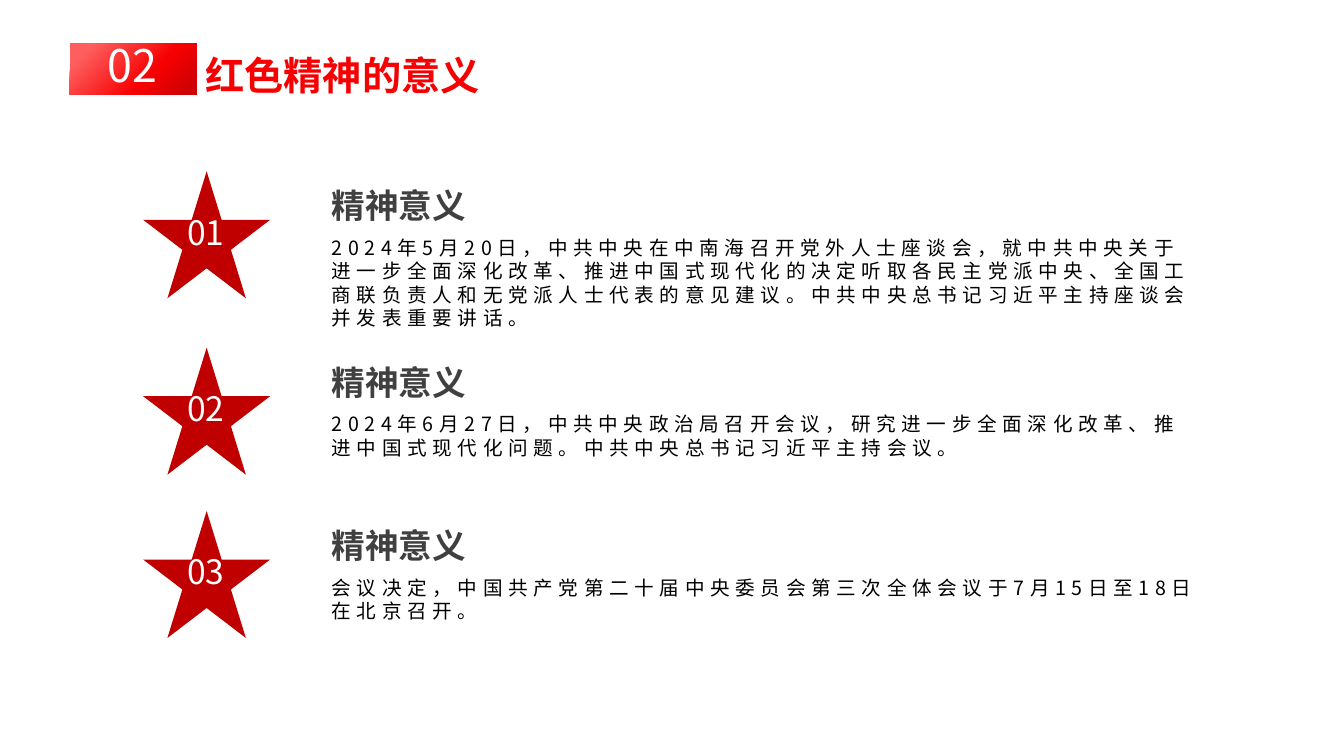
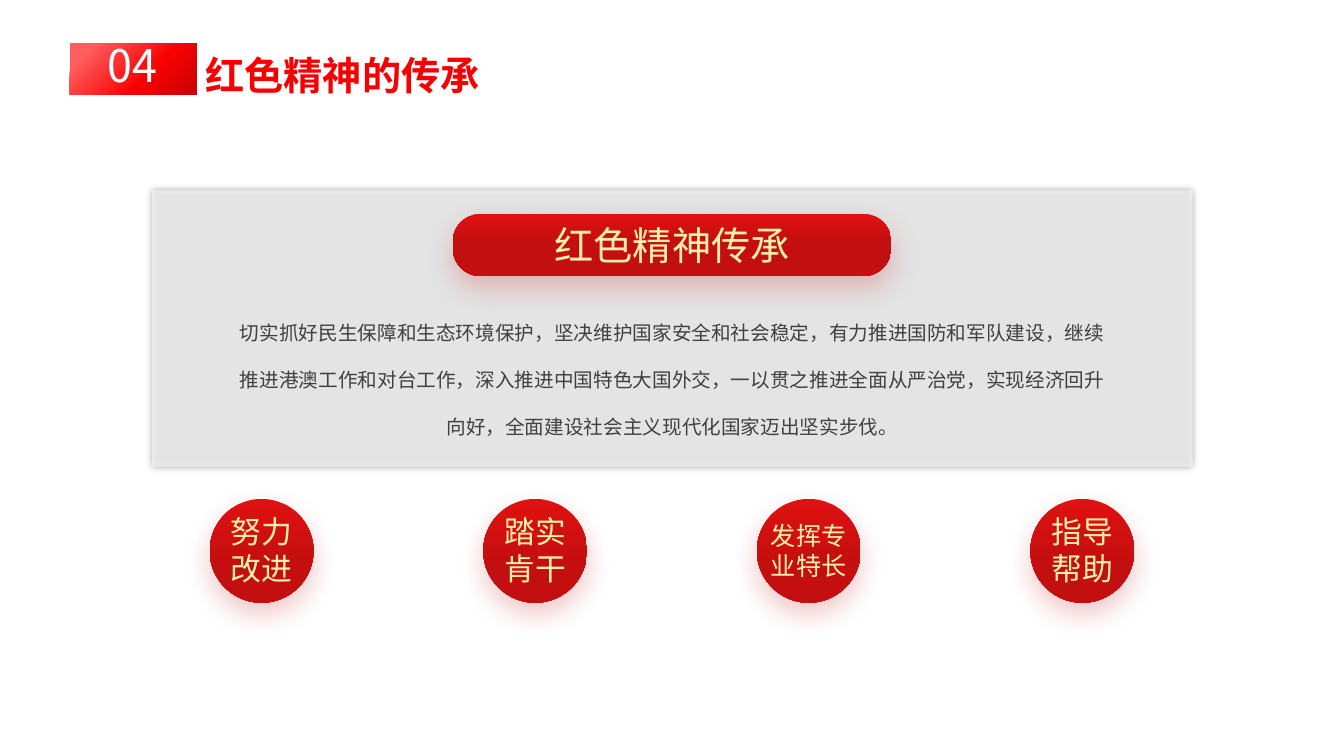
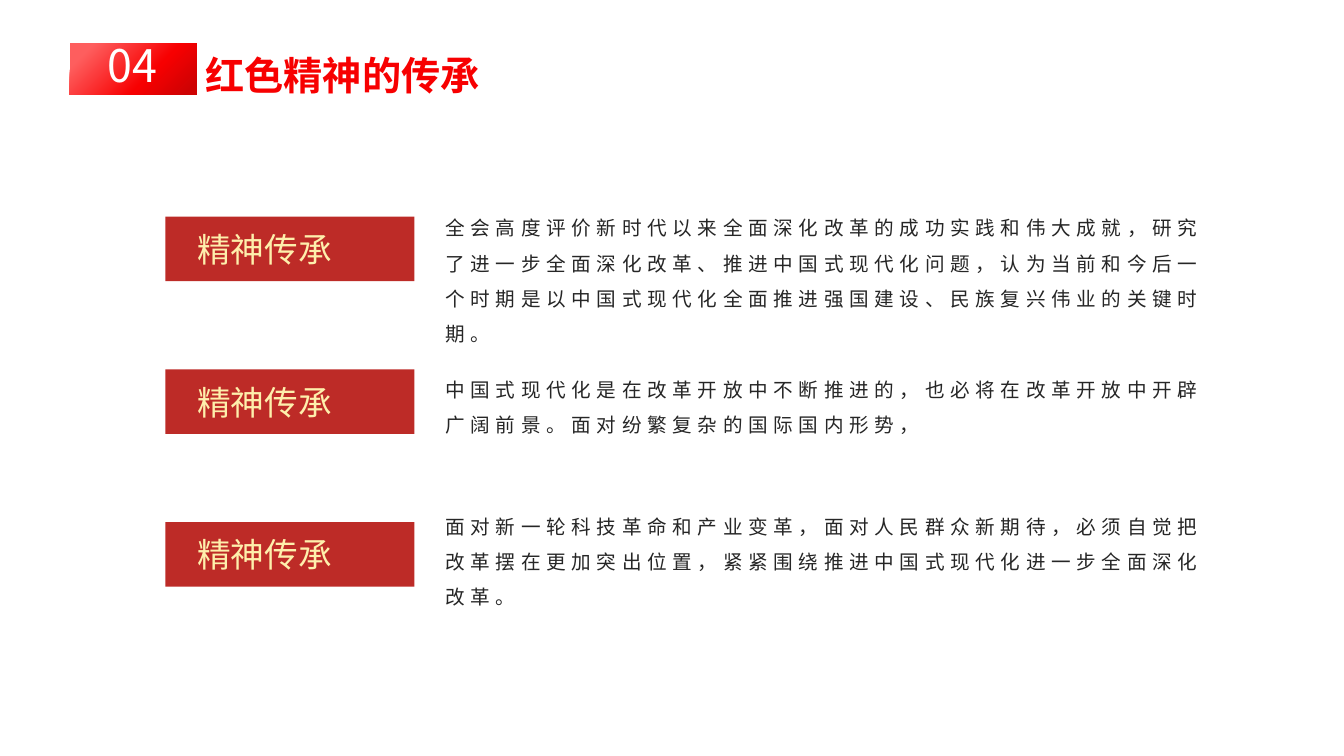
from lxml.etree import SubElement
from pptx import Presentation
from pptx.dml.color import RGBColor
from pptx.enum.shapes import MSO_SHAPE
from pptx.enum.text import MSO_ANCHOR, PP_ALIGN
from pptx.oxml.ns import qn
from pptx.util import Emu, Pt

EMU_PER_PX = 9144
SLIDE_W, SLIDE_H = 1333, 750
FONT = "Noto Sans CJK SC"

WHITE = RGBColor(0xFF, 0xFF, 0xFF)
BLACK = RGBColor(0x00, 0x00, 0x00)
DARK_GREY = RGBColor(0x40, 0x40, 0x40)
INK = RGBColor(0x26, 0x26, 0x26)
PANEL_GREY = RGBColor(0xF2, 0xF2, 0xF2)
TITLE_RED = RGBColor(0xF7, 0x00, 0x01)
STAR_RED = RGBColor(0xC0, 0x00, 0x00)
BAR_RED = RGBColor(0xBD, 0x2B, 0x27)
BRIGHT_RED = RGBColor(0xDF, 0x11, 0x11)
DEEP_RED = RGBColor(0xC3, 0x0F, 0x0F)
GOLD = RGBColor(0xFE, 0xEF, 0xAC)

# Gradients: (angle in degrees, [(position in percent, colour), ...])
BADGE_GRADIENT = (45, [(14, RGBColor(0xFE, 0x5E, 0x5E)), (63, TITLE_RED),
                       (94, RGBColor(0xCE, 0x02, 0x03))])
PILL_GRADIENT = (90, [(0, BRIGHT_RED), (45, DEEP_RED)])
CIRCLE_GRADIENT = (90, [(0, BRIGHT_RED), (64, DEEP_RED)])

# Shadows: (colour, opacity in percent, blur in pt, distance in pt, angle)
RED_GLOW = (DEEP_RED, 23, 20, 8, 90)
PANEL_SHADOW = (BLACK, 40, 5, 0, 0)

MEANING_TITLE = ("02", "红色精神的意义")
HERITAGE_TITLE = ("04", "红色精神的传承")

MEANING_HEADING = "精神意义"
MEANINGS = [  # top of the star, number, text
    (170, "01", "2024年5月20日，中共中央在中南海召开党外人士座谈会，就中共中央关于进一步全面深化改革、推进中国式现代化的决定听取各民主党派中央、全国工商联负责人和无党派人士代表的意见建议。中共中央总书记习近平主持座谈会并发表重要讲话。"),
    (345, "02", "2024年6月27日，中共中央政治局召开会议，研究进一步全面深化改革、推进中国式现代化问题。中共中央总书记习近平主持会议。"),
    (507, "03", "会议决定，中国共产党第二十届中央委员会第三次全体会议于7月15日至18日在北京召开。"),
]

HERITAGE_HEADING = "红色精神传承"
HERITAGE_TEXT = "切实抓好民生保障和生态环境保护，坚决维护国家安全和社会稳定，有力推进国防和军队建设，继续推进港澳工作和对台工作，深入推进中国特色大国外交，一以贯之推进全面从严治党，实现经济回升向好，全面建设社会主义现代化国家迈出坚实步伐。"
ACTIONS = [  # text, size, top
    ("努力\n改进", 22, 504),
    ("踏实\n肯干", 22, 504),
    ("发挥专\n业特长", 18, 511),
    ("指导\n帮助", 22, 504),
]

BAR_LABEL = "精神传承"
INHERITANCE = [  # top of the text, height, text
    (198, 151, "全会高度评价新时代以来全面深化改革的成功实践和伟大成就，研究了进一步全面深化改革、推进中国式现代化问题，认为当前和今后一个时期是以中国式现代化全面推进强国建设、民族复兴伟业的关键时期。"),
    (358, 81, "中国式现代化是在改革开放中不断推进的，也必将在改革开放中开辟广阔前景。面对纷繁复杂的国际国内形势，"),
    (494, 116, "面对新一轮科技革命和产业变革，面对人民群众新期待，必须自觉把改革摆在更加突出位置，紧紧围绕推进中国式现代化进一步全面深化改革。"),
]


def px(*lengths):
    return [Emu(round(length * EMU_PER_PX)) for length in lengths]


def add_color(parent, color, opacity=100):
    node = SubElement(parent, qn("a:srgbClr"), val=str(color))
    if opacity < 100:
        SubElement(node, qn("a:alpha"), val=str(opacity * 1000))


def set_gradient(shape, angle, stops):
    shape.fill.gradient()
    gradient = shape.element.spPr.find(qn("a:gradFill"))
    for child in list(gradient):
        gradient.remove(child)
    stop_list = SubElement(gradient, qn("a:gsLst"))
    for position, color in stops:
        add_color(SubElement(stop_list, qn("a:gs"), pos=str(position * 1000)), color)
    SubElement(gradient, qn("a:lin"), ang=str(angle * 60000), scaled="0")


def set_shadow(shape, color, opacity, blur, distance, angle):
    effects = shape.element.spPr.find(qn("a:effectLst"))
    outer = SubElement(effects, qn("a:outerShdw"), blurRad=str(Pt(blur)),
                       dist=str(Pt(distance)), dir=str(angle * 60000),
                       algn="ctr", rotWithShape="0")
    add_color(outer, color, opacity)


def add_figure(slide, kind, box, color=None, gradient=None, shadow=None):
    shape = slide.shapes.add_shape(kind, *px(*box))
    shape.line.fill.background()
    shape.shadow.inherit = False
    if gradient:
        set_gradient(shape, *gradient)
    else:
        shape.fill.solid()
        shape.fill.fore_color.rgb = color
    if shadow:
        set_shadow(shape, *shadow)
    return shape


def set_text(frame, text, size, color, bold=False, align=PP_ALIGN.LEFT,
             line_spacing=None, tracking=0):
    frame.word_wrap = True
    frame.text = text
    for paragraph in frame.paragraphs:
        paragraph.alignment = align
        paragraph.line_spacing = line_spacing
        for run in paragraph.runs:
            run.font.size = Pt(size)
            run.font.bold = bold
            run.font.color.rgb = color
            run.font.name = FONT
            props = run.font._element
            SubElement(props, qn("a:ea"), typeface=FONT)
            if tracking:
                props.set("spc", str(tracking * 100))


def add_label(slide, box, *args, **style):
    set_text(slide.shapes.add_textbox(*px(*box)).text_frame, *args, **style)


def add_titled_slide(deck, number, title):
    slide = deck.slides.add_slide(deck.slide_layouts[6])
    add_figure(slide, MSO_SHAPE.RECTANGLE, (69, 43, 126, 51), gradient=BADGE_GRADIENT)
    add_label(slide, (88, 33, 86, 64), number, 32, WHITE, align=PP_ALIGN.CENTER)
    add_label(slide, (194, 46, 346, 57), title, 28, TITLE_RED, bold=True)
    return slide


def build_meaning(deck):
    slide = add_titled_slide(deck, *MEANING_TITLE)
    for top, number, text in MEANINGS:
        add_figure(slide, MSO_SHAPE.STAR_5_POINT, (142, top, 126, 126), STAR_RED)
        add_label(slide, (173, top + 35, 62, 50), number, 24, WHITE,
                  align=PP_ALIGN.CENTER)
        add_label(slide, (319, top + 9, 165, 50), MEANING_HEADING, 24, DARK_GREY,
                  bold=True)
        add_label(slide, (319, top + 59, 879, 104), text, 14, BLACK, tracking=4)


def build_heritage(deck):
    slide = add_titled_slide(deck, *HERITAGE_TITLE)
    panel = add_figure(slide, MSO_SHAPE.RECTANGLE, (151, 189, 1032, 274),
                       PANEL_GREY, shadow=PANEL_SHADOW)
    panel_color = panel.element.spPr.find(qn("a:solidFill"))[0]
    SubElement(panel_color, qn("a:alpha"), val="80000")

    pill = add_figure(slide, MSO_SHAPE.ROUNDED_RECTANGLE, (449, 212, 435, 62),
                      gradient=PILL_GRADIENT, shadow=RED_GLOW)
    pill.adjustments[0] = 0.45
    frame = pill.text_frame
    frame.margin_left = frame.margin_right = frame.margin_top = frame.margin_bottom = 0
    frame.vertical_anchor = MSO_ANCHOR.MIDDLE
    set_text(frame, HERITAGE_HEADING, 28, GOLD, align=PP_ALIGN.CENTER)
    add_label(slide, (220, 290, 894, 151), HERITAGE_TEXT, 14, DARK_GREY,
              align=PP_ALIGN.CENTER, line_spacing=2.0)

    first_left, last_left, diameter, label_width = 208, 1022, 103, 152
    pitch = (last_left - first_left) / (len(ACTIONS) - 1)
    for i, (text, size, top) in enumerate(ACTIONS):
        left = first_left + i * pitch
        add_figure(slide, MSO_SHAPE.OVAL, (left, 495, diameter, diameter),
                   gradient=CIRCLE_GRADIENT, shadow=RED_GLOW)
        label_left = left + (diameter - label_width) / 2
        add_label(slide, (label_left, top, label_width, 84), text, size, GOLD,
                  align=PP_ALIGN.CENTER)


def build_inheritance(deck):
    slide = add_titled_slide(deck, *HERITAGE_TITLE)
    first_top, last_top = 215, 518
    pitch = (last_top - first_top) / (len(INHERITANCE) - 1)
    for i, (text_top, height, text) in enumerate(INHERITANCE):
        top = first_top + i * pitch
        add_figure(slide, MSO_SHAPE.RECTANGLE, (164, top, 247, 64), BAR_RED)
        add_label(slide, (186, top + 7, 203, 50), BAR_LABEL, 24, GOLD)
        add_label(slide, (432, text_top, 792, height), text, 14, INK,
                  line_spacing=1.5, tracking=4)


def main():
    deck = Presentation()
    deck.slide_width, deck.slide_height = px(SLIDE_W, SLIDE_H)
    build_meaning(deck)
    build_heritage(deck)
    build_inheritance(deck)
    deck.save("out.pptx")


if __name__ == "__main__":
    main()
